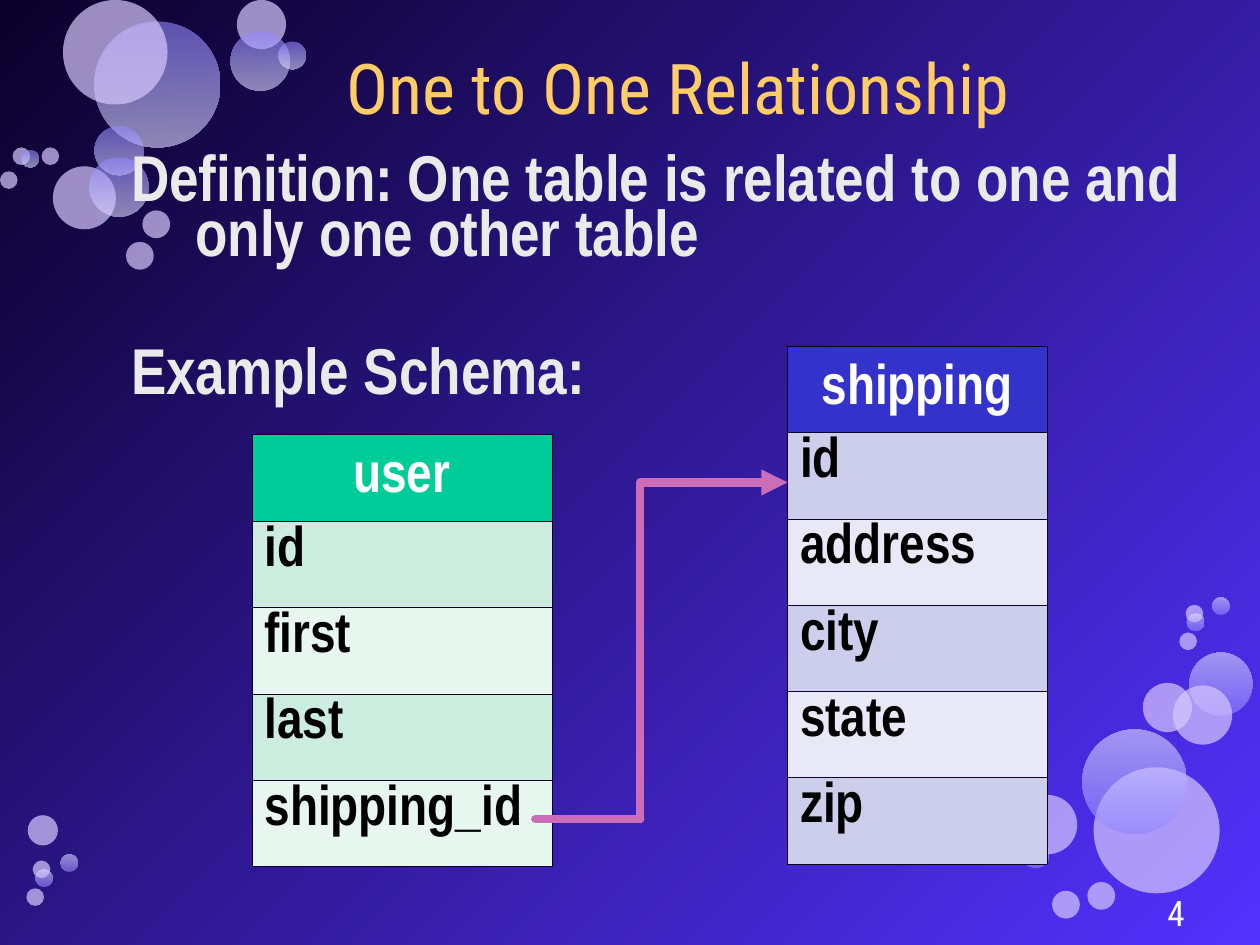
from collections import namedtuple
from dataclasses import dataclass
from lxml.etree import SubElement as Sub
from pptx import Presentation
from pptx.dml.color import RGBColor as RGB
from pptx.enum.shapes import MSO_CONNECTOR as Link, MSO_SHAPE as Form
from pptx.enum.text import MSO_ANCHOR as Anchor, MSO_AUTO_SIZE as Fit, PP_ALIGN as Align
from pptx.oxml.ns import qn
from pptx.util import Inches, Pt

Box = namedtuple("Box", "x y w h")
COLS, ROWS = 100, 75
WIDE, HIGH = Inches(10), Inches(7.5)


@dataclass(frozen=True)
class Theme:
    back: tuple = ("0B0029", "5332FF")
    glow: tuple = ("9185FF", "DEDCFF")
    mist: str = "D7C8FE"
    gold: str = "FFCC66"
    pale: str = "EAEAEA"
    white: str = "FFFFFF"
    black: str = "000000"
    edge: str = "0C002C"
    pink: str = "CB6DB8"
    green: tuple = ("00CC99", "CBECDE", "E7F6EF")
    blue: tuple = ("3333CC", "CDCDEC", "E8E8F6")
    sans: str = "Roboto Condensed"
    slim: str = "Arial Narrow"
    title: int = 40
    body: int = 37
    cell: int = 32
    page: int = 20


T = Theme()

CROWN = [
    (7.5, 1.7, 10, 1), (4.2, 13.2, 5, 0), (7.5, 10, 3.9, 1), (7.1, 12.5, 4.7, 1),
    (5, 0, 8.3, 0), (18.8, 0, 3.9, 0), (18.3, 2.5, 4.7, 1), (22.1, 3.3, 2.2, 1),
    (11.3, 16.7, 2.2, 0), (1, 11.7, 1.4, 0), (10, 19.2, 2.2, 0), (0, 13.6, 1.4, 0),
    (1.7, 11.9, 1.4, 1), (3.3, 11.7, 1.4, 0),
]
FOOT = [
    (6.8, 13.9, 10, 0), (14.4, 4.8, 5, 1), (10.7, 7.2, 3.9, 0), (13.1, 7.4, 4.7, 0),
    (5.9, 10.9, 8.3, 1), (0.8, 16.1, 4.7, 0), (1.1, 19.7, 2.2, 1), (3.5, 23.7, 2.2, 0),
    (14.1, 1, 1.4, 0), (6.3, 23, 2.2, 0), (16.2, 0.4, 1.4, 1), (14.2, 1.7, 1.4, 1),
    (13.6, 3.2, 1.4, 0),
]
SIDE = [
    (0.2, 0.2, 2.4, 0), (0.6, 3.8, 1.4, 0), (2.8, 3.3, 1.4, 1), (0.8, 4.5, 1.4, 1),
    (0.1, 6, 1.4, 0),
]


def across(n):
    return round(WIDE * n / COLS)


def down(n):
    return round(HIGH * n / ROWS)


def place(box):
    return across(box.x), down(box.y), across(box.w), down(box.h)


def move(shape, box):
    shape.left, shape.top, shape.width, shape.height = place(box)


def style(para, size, face, tint, bold=False, gap=1.0, align=None):
    para.line_spacing, para.alignment = gap, align
    for run in para.runs:
        font = run.font
        font.size, font.name, font.bold = Pt(size), face, bold
        font.color.rgb = RGB.from_string(tint)


def blend(fill, tints, angle):
    fill.gradient()
    fill.gradient_angle = angle
    for stop, tint in zip(fill.gradient_stops, tints):
        stop.color.rgb = RGB.from_string(tint)


def fade(shape, share):
    for node in list(shape._element.spPr.iter(qn("a:srgbClr"))):
        Sub(node, qn("a:alpha"), val=str(share * 1000))


def bubbles(slide, box, dots, angle):
    for x, y, size, lit in dots:
        spot = Box(box.x + x, box.y + y, size, size)
        dot = slide.shapes.add_shape(Form.OVAL, *place(spot))
        dot.shadow.inherit = False
        dot.line.fill.background()
        if lit:
            blend(dot.fill, T.glow, angle)
        else:
            dot.fill.solid()
            dot.fill.fore_color.rgb = RGB.from_string(T.mist)
        fade(dot, 60 if lit else 70)


def lift(slide, shape):
    slide.shapes._spTree.append(shape._element)


def title(slide, box, text):
    head = slide.shapes.title
    move(head, box)
    lift(slide, head)
    frame = head.text_frame
    frame.text = text
    frame.auto_size, frame.vertical_anchor = Fit.NONE, Anchor.BOTTOM
    style(frame.paragraphs[0], T.title, T.sans, T.gold, gap=1.12, align=Align.CENTER)


def body(slide, box, lines):
    part = slide.placeholders[1]
    move(part, box)
    lift(slide, part)
    frame = part.text_frame
    frame.text = "\n".join(lines)
    frame.auto_size = Fit.NONE
    frame.margin_left = frame.margin_right = frame.margin_top = frame.margin_bottom = 0
    for para, lead in zip(frame.paragraphs, (8, 47)):
        style(para, T.body, T.slim, T.pale, True, 0.71)
        para.space_before = Pt(lead)
        props = para._p.get_or_add_pPr()
        props.set("marL", str(across(5.1)))
        props.set("indent", str(-across(5.1)))
        Sub(props, qn("a:buNone"))


def border(cell):
    props = cell._tc.get_or_add_tcPr()
    for spot, side in enumerate(("lnL", "lnR", "lnT", "lnB")):
        line = Sub(props, qn("a:" + side), w=str(Pt(0.45)))
        Sub(Sub(line, qn("a:solidFill")), qn("a:srgbClr"), val=T.edge)
        props.insert(spot, line)


def table(slide, box, names, tints):
    grid = slide.shapes.add_table(len(names), 1, *place(box)).table
    for n, name in enumerate(names):
        cell = grid.cell(n, 0)
        cell.text = name
        top = n == 0
        cell.fill.solid()
        cell.fill.fore_color.rgb = RGB.from_string(tints[0 if top else 2 - n % 2])
        cell.vertical_anchor = Anchor.MIDDLE if top else Anchor.TOP
        style(cell.text_frame.paragraphs[0], T.cell, T.slim, T.white if top else T.black,
              True, 0.92, Align.CENTER if top else Align.LEFT)
        border(cell)


def wire(group, kind, start, end):
    link = group.shapes.add_connector(kind, across(start[0]), down(start[1]),
                                      across(end[0]), down(end[1]))
    link.line.width = Pt(5)
    link.line.color.rgb = RGB.from_string(T.pink)
    link.line._get_or_add_ln().set("cap", "rnd")
    Sub(link._element.spPr, qn("a:effectLst"))
    return link


def arrow(slide, box, bend):
    group = slide.shapes.add_group_shape()
    low = box.y + box.h
    wire(group, Link.STRAIGHT, (bend, low), (box.x, low))
    link = wire(group, Link.ELBOW, (bend, low), (box.x + box.w, box.y))
    Sub(link.line._get_or_add_ln(), qn("a:tailEnd"), type="triangle")
    guides = link._element.spPr.find(qn("a:prstGeom")).get_or_add_avLst()
    Sub(guides, qn("a:gd"), name="adj1", fmla="val 0")


def page(slide, box, text):
    frame = slide.shapes.add_textbox(*place(box)).text_frame
    frame.text = text
    frame.word_wrap, frame.vertical_anchor = True, Anchor.MIDDLE
    style(frame.paragraphs[0], T.page, T.sans, T.white, gap=0.82, align=Align.RIGHT)


def main():
    deck = Presentation()
    deck.slide_width, deck.slide_height = WIDE, HIGH
    slide = deck.slides.add_slide(deck.slide_layouts[1])
    blend(slide.background.fill, T.back, 315)
    bubbles(slide, Box(0, 0, 25, 22), CROWN, 270)
    bubbles(slide, Box(80, 47, 20, 28), FOOT, 90)
    bubbles(slide, Box(2, 64.5, 5, 8), SIDE, 90)
    table(slide, Box(20, 34.5, 23.8, 34.3),
          ["user", "id", "first", "last", "shipping_id"], T.green)
    title(slide, Box(9.5, 1.3, 88.6, 9.4), "One to One Relationship")
    body(slide, Box(10.4, 12.5, 88.1, 20.6),
         ["Definition: One table is related to one and only one other table",
          "Example Schema:"])
    table(slide, Box(62.5, 27.5, 20.6, 41.1),
          ["shipping", "id", "address", "city", "state", "zip"], T.blue)
    arrow(slide, Box(42.5, 38.3, 20, 26.7), 50.8)
    page(slide, Box(71.7, 71.3, 23.3, 2.8), "4")
    deck.save("out.pptx")


if __name__ == "__main__":
    main()
